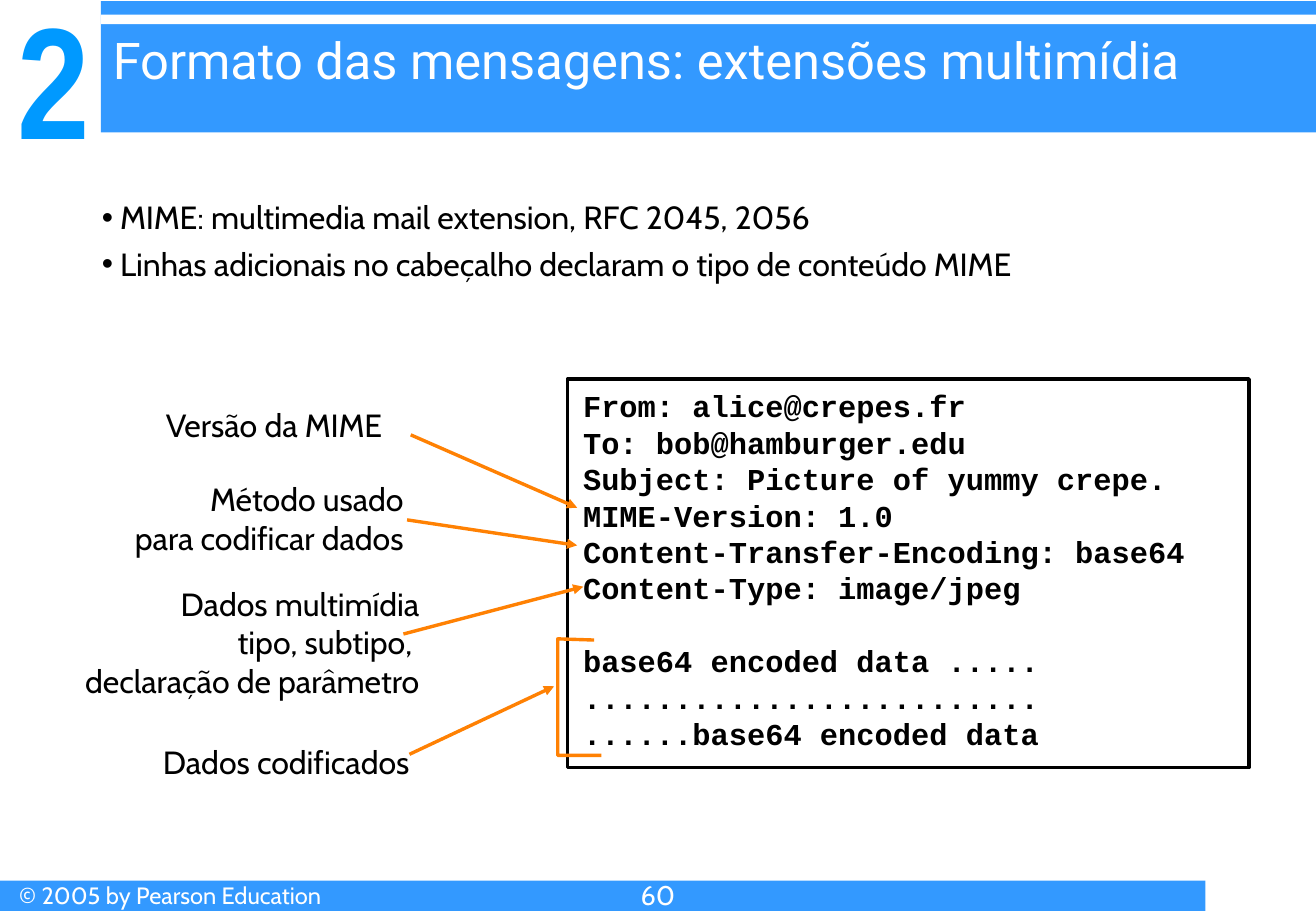
from lxml.etree import SubElement
from pptx import Presentation
from pptx.dml.color import RGBColor
from pptx.enum.shapes import MSO_CONNECTOR, MSO_SHAPE
from pptx.enum.text import MSO_ANCHOR, PP_ALIGN
from pptx.oxml.ns import qn
from pptx.util import Inches, Pt

COLORS = {
    "bar": "3399FF",
    "chapter": "0099FF",
    "callout": "FF8103",
    "black": "000000",
    "white": "FFFFFF",
}
LEFT, CENTER, RIGHT = PP_ALIGN.LEFT, PP_ALIGN.CENTER, PP_ALIGN.RIGHT
MESSAGE_HEADER = [
    "From: alice@crepes.fr",
    "To: bob@hamburger.edu",
    "Subject: Picture of yummy crepe.",
    "MIME-Version: 1.0",
    "Content-Transfer-Encoding: base64",
    "Content-Type: image/jpeg",
]
MESSAGE_BODY = [
    "base64 encoded data .....",
    ".........................",
    "......base64 encoded data",
]
LABELS = [
    (0.24, 4.76, 3.31, 1.05, RIGHT,
     ["Dados multimídia", "tipo, subtipo, ", "declaração de parâmetro"]),
    (0.71, 3.9, 2.71, 0.74, RIGHT, ["Método usado", "para codificar dados"]),
    (1.15, 3.29, 2.21, 0.42, CENTER, ["Versão da MIME"]),
    (1.13, 6.06, 2.45, 0.42, CENTER, ["Dados codificados"]),
]
ARROWS = [
    (3.38, 3.58, 4.75, 4.18),
    (3.35, 4.28, 4.75, 4.49),
    (3.32, 5.22, 4.8, 4.83),
    (3.37, 6.21, 4.56, 5.65),
]


def color(name):
    return RGBColor.from_string(COLORS[name])


class SlideBuilder:
    """Draws styled elements on the current slide."""

    def __init__(self, slide):
        self.shapes = slide.shapes

    def style_line(self, line, name):
        line.color.rgb = color(name)
        line.width = Pt(2)

    def rectangle(self, left, top, width, height, fill=None, line=None):
        shape = self.shapes.add_shape(
            MSO_SHAPE.RECTANGLE, Inches(left), Inches(top), Inches(width), Inches(height))
        shape.shadow.inherit = False
        if fill:
            shape.fill.solid()
            shape.fill.fore_color.rgb = color(fill)
        else:
            shape.fill.background()
        if line:
            self.style_line(shape.line, line)
        else:
            shape.line.fill.background()

    def text(self, left, top, width, height, lines, size, font="Cabin", fill="black",
             align=LEFT, bold=False):
        box = self.shapes.add_textbox(
            Inches(left), Inches(top), Inches(width), Inches(height))
        frame = box.text_frame
        frame.word_wrap = True
        frame.text = "\n".join(lines)
        for paragraph in frame.paragraphs:
            paragraph.alignment = align
            for run in paragraph.runs:
                run.font.name = font
                run.font.size = Pt(size)
                run.font.bold = bold
                run.font.color.rgb = color(fill)
        return frame

    def bullets(self, left, top, width, height, lines, size):
        frame = self.text(left, top, width, height, lines, size)
        for index, paragraph in enumerate(frame.paragraphs):
            properties = paragraph._p.get_or_add_pPr()
            properties.set("marL", str(Inches(0.15)))
            properties.set("indent", str(-Inches(0.15)))
            SubElement(properties, qn("a:buFont"), typeface="Arial")
            SubElement(properties, qn("a:buChar"), char="•")
            if index:
                paragraph.space_before = Pt(4.8)

    def message(self, left, top, width, height, header, body):
        """Writes a mail message with a one-line gap between header and body."""
        line_height = Pt(21.6)
        frame = self.text(left, top, width, height, header + body, 18,
                          font="Courier New", bold=True)
        for paragraph in frame.paragraphs:
            paragraph.line_spacing = line_height
        frame.paragraphs[len(header)].space_before = line_height

    def arrow(self, *ends):
        connector = self.shapes.add_connector(
            MSO_CONNECTOR.STRAIGHT, *[Inches(value) for value in ends])
        self.style_line(connector.line, "callout")
        SubElement(connector.line._get_or_add_ln(), qn("a:tailEnd"), type="triangle")
        SubElement(connector._element.spPr, qn("a:effectLst"))

    def bracket(self, points):
        start, *others = [(Inches(x), Inches(y)) for x, y in points]
        builder = self.shapes.build_freeform(*start)
        builder.add_line_segments(others, close=False)
        shape = builder.convert_to_shape()
        shape.shadow.inherit = False
        shape.fill.background()
        self.style_line(shape.line, "callout")


def main():
    presentation = Presentation()
    presentation.slide_width = Inches(10.83)
    presentation.slide_height = Inches(7.5)
    slide = SlideBuilder(presentation.slides.add_slide(presentation.slide_layouts[6]))

    slide.rectangle(0.83, 0.01, 10, 1.08, fill="bar")
    slide.rectangle(0.83, 0.12, 10, 0.08, fill="white")
    chapter = slide.text(0.03, -0.16, 0.83, 1.57, ["2"], 94, font="Arial Narrow",
                         fill="chapter", align=CENTER, bold=True)
    chapter.margin_left = chapter.margin_right = 0
    chapter.margin_top = chapter.margin_bottom = 0
    chapter.vertical_anchor = MSO_ANCHOR.BOTTOM
    slide.text(0.83, 0.19, 10, 0.83, ["Formato das mensagens: extensões multimídia"], 30,
               font="Roboto", fill="white")

    slide.bullets(0.74, 1.58, 8.68, 0.9, [
        "MIME: multimedia mail extension, RFC 2045, 2056",
        "Linhas adicionais no cabeçalho declaram o tipo de conteúdo MIME",
    ], 19)

    slide.message(4.7, 3.14, 5.9, 3.1, MESSAGE_HEADER, MESSAGE_BODY)
    slide.rectangle(4.67, 3.12, 5.61, 3.2, line="black")
    for left, top, width, height, align, lines in LABELS:
        slide.text(left, top, width, height, lines, 19, align=align)
    for ends in ARROWS:
        slide.arrow(*ends)
    slide.bracket([(4.89, 5.27), (4.59, 5.26), (4.59, 6.22), (4.95, 6.22)])

    slide.rectangle(0, 7.25, 9.92, 0.25, fill="bar")
    slide.text(0.06, 7.2, 3.33, 0.34, ["© 2005 by Pearson Education"], 14, fill="white")
    slide.text(0, 7.18, 10.83, 0.5, ["60"], 16, fill="white", align=CENTER)

    presentation.save("out.pptx")


if __name__ == "__main__":
    main()
